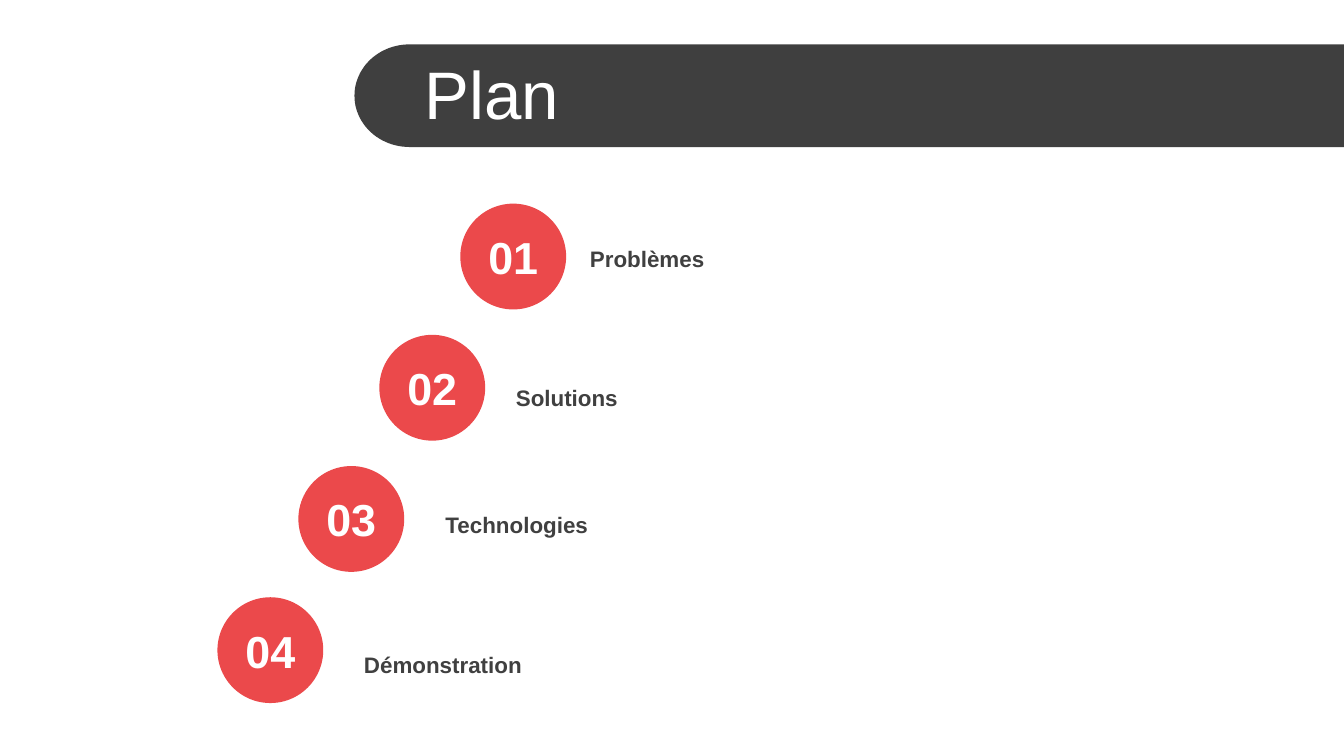
import dataclasses
import math

import pptx
import pptx.dml.color
import pptx.enum.shapes
import pptx.enum.text
import pptx.util

Cm = pptx.util.Cm
Align = pptx.enum.text.PP_ALIGN


@dataclasses.dataclass(frozen=True)
class Theme:
    font: str = "Arial"
    bar: str = "3F3F3F"
    disc: str = "EB494B"
    ink: str = "404040"
    light: str = "FFFFFF"
    title: int = 36
    number: int = 24
    label: int = 12


THEME = Theme()
WIDTH, HEIGHT = 25.4, 14.29
TOPICS = [
    ("Problèmes", 10.9, 4.5),
    ("Solutions", 9.5, 7.13),
    ("Technologies", 8.17, 9.53),
    ("Démonstration", 6.63, 12.19),
]


def tint(code):
    return pptx.dml.color.RGBColor.from_string(code)


def paint(shape, color):
    shape.shadow.inherit = False
    shape.fill.solid()
    shape.fill.fore_color.rgb = tint(color)
    shape.line.fill.background()


def write(shape, text, *, size, color, bold=False, align=Align.LEFT, inset=None):
    frame = shape.text_frame
    frame.word_wrap = True
    frame.auto_size = pptx.enum.text.MSO_AUTO_SIZE.NONE
    frame.vertical_anchor = pptx.enum.text.MSO_ANCHOR.MIDDLE
    if inset is not None:
        frame.margin_left = frame.margin_right = Cm(inset)
        frame.margin_top = frame.margin_bottom = Cm(inset)
    line = frame.paragraphs[0]
    line.alignment = align
    run = line.add_run()
    run.text = text
    run.font.name = THEME.font
    run.font.size = pptx.util.Pt(size)
    run.font.bold = bold
    run.font.color.rgb = tint(color)


def add_bar(slide, left, top, height, cap):
    half = height / 2
    steps = 48
    curve = []
    for step in range(steps + 1):
        angle = math.pi * step / steps
        x = left + cap * (1 - math.sin(angle))
        y = top + half * (1 + math.cos(angle))
        curve.append((Cm(x), Cm(y)))
    form = slide.shapes.build_freeform(Cm(WIDTH), Cm(top))
    form.add_line_segments([(Cm(WIDTH), Cm(top + height)), *curve])
    bar = form.convert_to_shape()
    paint(bar, THEME.bar)
    return bar


def add_title(slide, text, bar):
    title = slide.shapes.title
    title.left, title.top = Cm(7.77), Cm(0.96)
    title.width, title.height = Cm(17.63), Cm(1.6)
    write(title, text, size=THEME.title, color=THEME.light)
    title._element.addprevious(bar._element)


def add_disc(slide, text, left, top, size):
    oval = pptx.enum.shapes.MSO_SHAPE.OVAL
    disc = slide.shapes.add_shape(oval, Cm(left), Cm(top), Cm(size), Cm(size))
    paint(disc, THEME.disc)
    write(disc, text, size=THEME.number, color=THEME.light, bold=True,
          align=Align.CENTER, inset=0)


def add_label(slide, text, left, top):
    box = slide.shapes.add_textbox(Cm(left), Cm(top), Cm(12.8), Cm(0.76))
    write(box, text, size=THEME.label, color=THEME.ink, bold=True)


def main():
    deck = pptx.Presentation()
    deck.slide_width, deck.slide_height = Cm(WIDTH), Cm(HEIGHT)
    slide = deck.slides.add_slide(deck.slide_layouts.get_by_name("Title Only"))
    bar = add_bar(slide, left=6.7, top=0.84, height=1.94, cap=1.04)
    add_title(slide, "Plan", bar)
    for row, (topic, left, top) in enumerate(TOPICS):
        add_disc(slide, f"{row + 1:02}", 8.7 - 1.53 * row, 3.85 + 2.48 * row, 2)
        add_label(slide, topic, left, top)
    deck.save("out.pptx")


if __name__ == "__main__":
    main()
